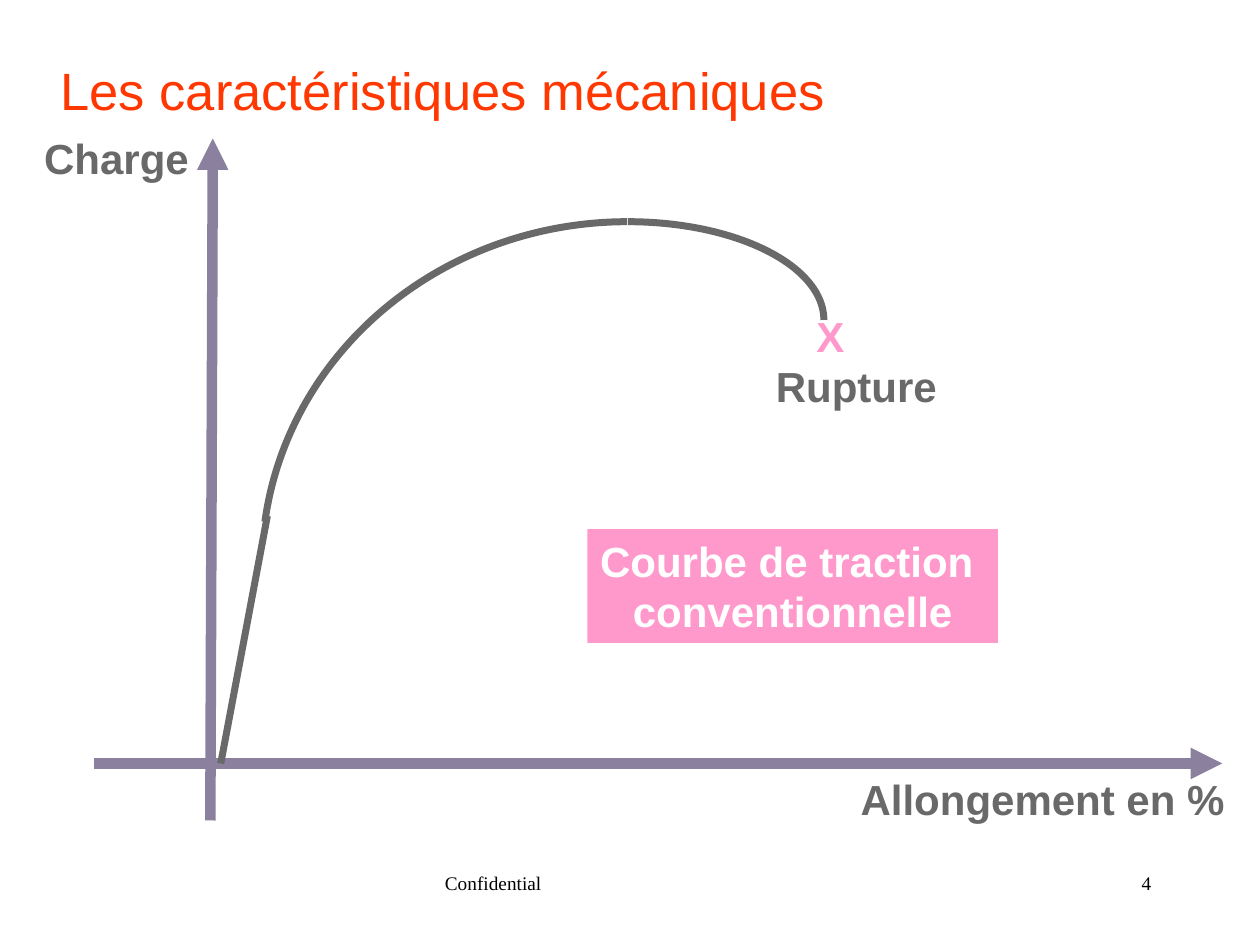
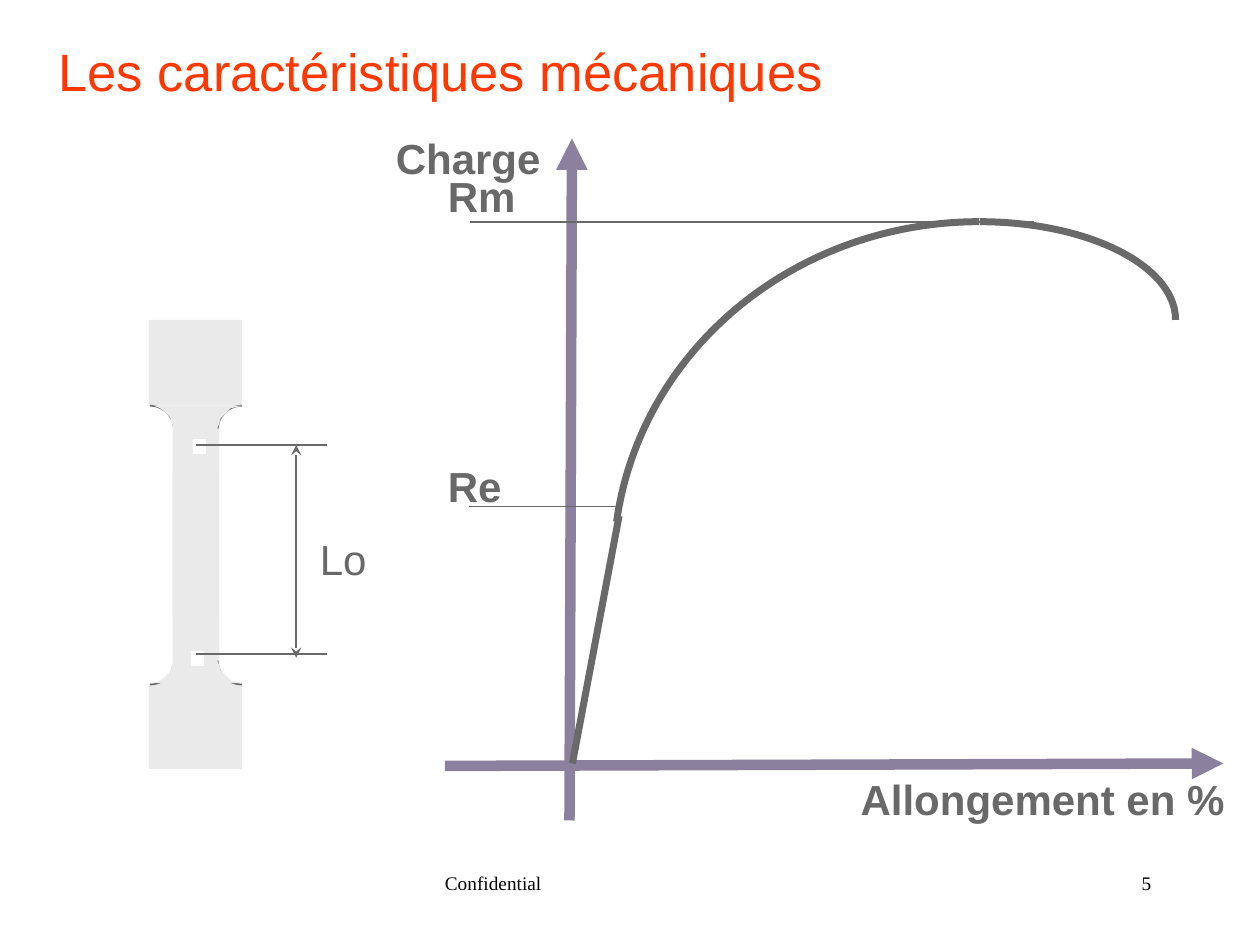
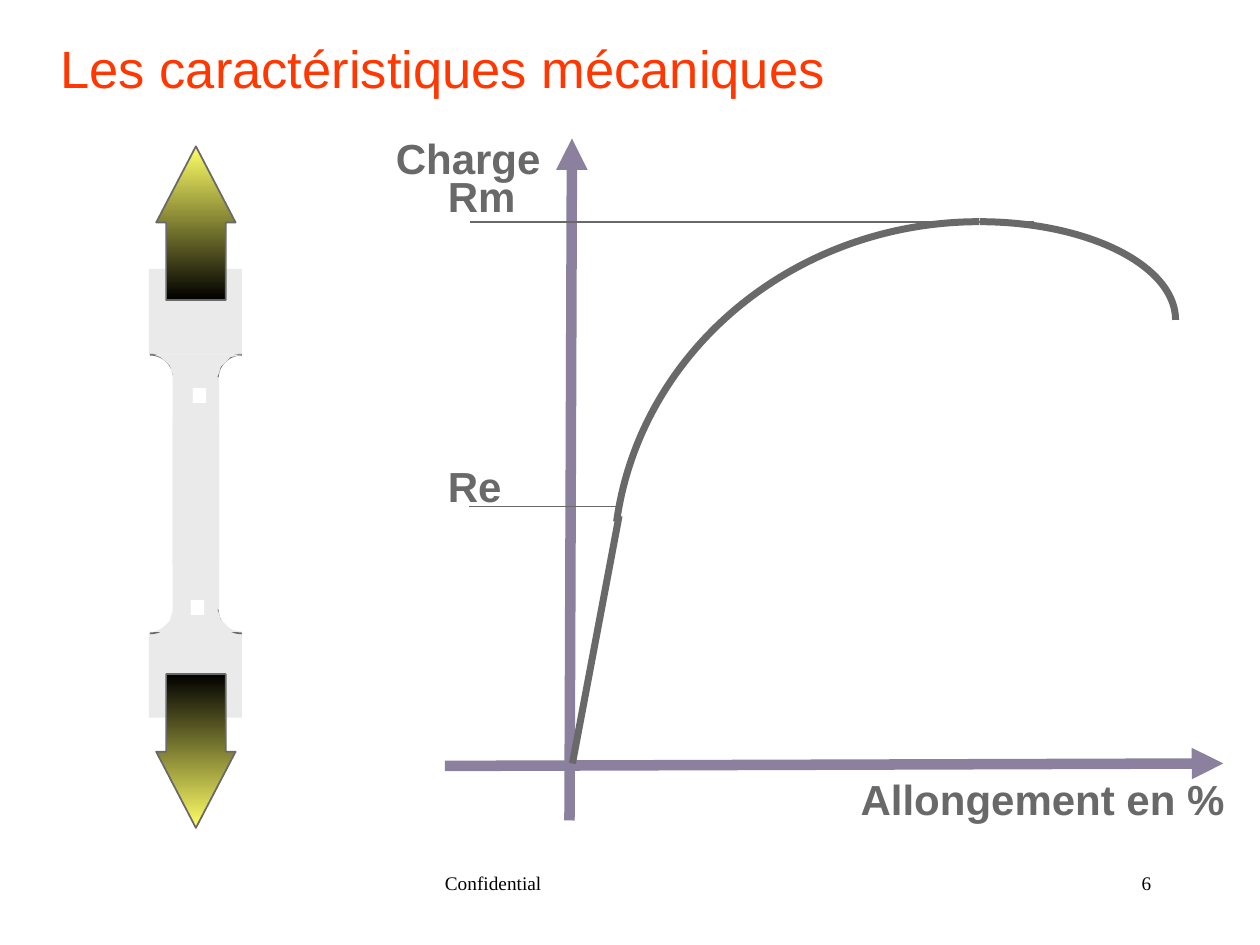
"""Build three slides on the tensile curve and the mechanical properties it shows."""
from pptx import Presentation
from pptx.dml.color import RGBColor
from pptx.enum.shapes import MSO_CONNECTOR, MSO_SHAPE as Shape
from pptx.enum.text import MSO_ANCHOR as Anchor, PP_ALIGN as Align
from pptx.oxml.ns import qn
from pptx.util import Cm, Pt
from lxml.etree import SubElement

ORANGE = RGBColor(0xFF, 0x37, 0x00)
GREY = RGBColor(0x69, 0x69, 0x69)
MAUVE = RGBColor(0x8B, 0x81, 0x9E)
PINK = RGBColor(0xFF, 0x99, 0xCC)
STEEL = RGBColor(0xEA, 0xEA, 0xEA)
YELLOW = RGBColor(0xFF, 0xFF, 0x66)
BLACK = RGBColor(0x00, 0x00, 0x00)
WHITE = RGBColor(0xFF, 0xFF, 0xFF)

TITLE = {"name": "Arial", "size": Pt(30), "bold": False}
LABEL = {"name": "Arial", "size": Pt(24), "bold": True}
LENGTH = {"name": "Arial", "size": Pt(24), "bold": False}
MARK = {"name": "Arial", "size": Pt(80), "bold": False}
FOOTER = {"name": "Times New Roman", "size": Pt(11), "bold": False}

FLUSH = {"margin_left": 0, "margin_right": 0, "margin_top": 0, "margin_bottom": 0, "word_wrap": True}
SNUG = {"word_wrap": False}

CURVE_SHIFT = 7.09
PULL_SHIFT = -1.03
DEGREE = 0.6
FILLET = [(4.88, 0), (4.75, 0.03), (4.65, 0.05), (4.57, 0.13), (4.5, 0.2), (4.45, 0.25),
          (4.42, 0.36), (4.39, 0.43), (4.39, 0.48), (3.48, 0.48), (3.48, 0.38), (3.45, 0.33),
          (3.43, 0.23), (3.38, 0.18), (3.33, 0.13), (3.23, 0.05), (3.18, 0.03), (3.1, 0)]


def add_text(slide, text, box, style, color=GREY, layout=SNUG, align=Align.LEFT, anchor=Anchor.TOP, fill=None):
    area = slide.shapes.add_textbox(*map(Cm, box))
    if fill is not None:
        area.fill.solid()
        area.fill.fore_color.rgb = fill
    frame = area.text_frame
    for name, value in layout.items():
        setattr(frame, name, value)
    frame.vertical_anchor = anchor
    frame.text = text
    for paragraph in frame.paragraphs:
        paragraph.alignment = align
        for run in paragraph.runs:
            run.font.color.rgb = color
            for name, value in style.items():
                setattr(run.font, name, value)


def add_line(slide, ends, color=GREY, width=1, head=None, tail=None):
    line = slide.shapes.add_connector(MSO_CONNECTOR.STRAIGHT, *map(Cm, ends))
    line.line.color.rgb = color
    line.line.width = Pt(width)
    for tag, arrow in (("a:headEnd", head), ("a:tailEnd", tail)):
        if arrow:
            SubElement(line.line._get_or_add_ln(), qn(tag), type=arrow)
    SubElement(line._element.spPr, qn("a:effectLst"))


deck = Presentation()
deck.slide_width, deck.slide_height = Cm(25.4), Cm(19.05)

for number, title_x, title_y in ((4, 1.22, 0.23), (5, 1.18, -0.15), (6, 1.22, -0.22)):
    slide = deck.slides.add_slide(deck.slide_layouts[6])
    has_rupture = number == 4
    has_gauge = number == 5
    has_pull = number == 6
    shift = 0 if has_rupture else CURVE_SHIFT
    pull = PULL_SHIFT if has_pull else 0

    if has_rupture:
        add_text(slide, "Courbe de traction \nconventionnelle", (11.84, 10.67, 8.28, 2.29), LABEL, WHITE,
                 align=Align.CENTER, fill=PINK)
        load_axis, strain_axis = (4.29, 2.79, 4.24, 16.54), (1.9, 15.39, 24.64, 15.39)
    else:
        load_axis, strain_axis = (11.53, 2.79, 11.48, 16.54), (8.97, 15.44, 24.66, 15.39)
    add_line(slide, load_axis, MAUVE, 6, head="triangle")
    add_line(slide, strain_axis, MAUVE, 6, tail="triangle")
    add_line(slide, (4.45 + shift, 15.39, 5.39 + shift, 10.4), GREY, 4)

    parts = [(Shape.ARC, (5.28 + shift, 4.47, 14.73, 13.89), (187 * DEGREE, 270 * DEGREE), [], 4),
             (Shape.ARC, (8.71 + shift, 4.47, 7.9, 3.96), (270 * DEGREE, 0), [], 4)]
    if not has_rupture:
        for head_y, arc_y, shaft_y, angles in ((6.45, 8.18, 8.64, ((270, 0), (180, 270))),
                                               (13.77, 12.83, 9.53, ((0, 90), (90, 180)))):
            parts.append((Shape.RECTANGLE, (3, head_y + pull, 1.88, 1.73), (), [STEEL], 0))
            for arc_x, (start, end) in zip((2.54, 4.39), angles):
                parts.append((Shape.ARC, (arc_x, arc_y + pull, 0.97, 0.97),
                              (start * DEGREE, end * DEGREE), [], 1))
            parts.append((Shape.RECTANGLE, (3.48, shaft_y + pull, 0.94, 3.78), (), [STEEL], 0))
    if has_pull:
        parts += [(Shape.UP_ARROW, (3.15, 2.95, 1.6, 3.1), (0.75, 0.96), [YELLOW, BLACK], 1),
                  (Shape.DOWN_ARROW, (3.15, 13.59, 1.6, 3.1), (0.75, 0.96), [BLACK, YELLOW], 1)]

    for kind, box, adjustments, colors, outline in parts:
        part = slide.shapes.add_shape(kind, *map(Cm, box))
        part.shadow.inherit = False
        for index, value in enumerate(adjustments):
            part.adjustments[index] = value
        if len(colors) == 2:
            part.fill.gradient()
            part.fill.gradient_angle = 270
            for stop, color, position in zip(part.fill.gradient_stops, colors, (0, 1)):
                stop.color.rgb = color
                stop.position = position
        elif colors:
            part.fill.solid()
            part.fill.fore_color.rgb = colors[0]
        else:
            part.fill.background()
        if outline:
            part.line.color.rgb = GREY
            part.line.width = Pt(outline)
        else:
            part.line.fill.background()

    add_text(slide, "Charge", (0.64 if has_rupture else 7.73, 2.54, 3.43, 1.27), LABEL)
    add_text(slide, "Allongement en %", (17.1, 15.47, 7.85, 1.27), LABEL)

    if has_rupture:
        add_text(slide, "X", (16.21, 6.13, 1.07, 1.27), LABEL, PINK)
        add_text(slide, "Rupture", (15.39, 7.14, 3.76, 1.27), LABEL)
    else:
        add_line(slide, (12.47, 10.21, 9.45, 10.21))
        add_text(slide, "Re", (8.78, 9.16, 1.6, 1.27), LABEL)
        add_line(slide, (20.85, 4.47, 9.47, 4.47))
        add_text(slide, "Rm", (8.78, 3.32, 1.88, 1.27), LABEL)
        for edge, side in ((8.18, 1), (13.77, -1)):
            builder = slide.shapes.build_freeform(Cm(3.02), Cm(edge + pull))
            builder.add_line_segments([(Cm(x), Cm(edge + pull + side * y)) for x, y in FILLET])
            fillet = builder.convert_to_shape()
            fillet.shadow.inherit = False
            fillet.fill.solid()
            fillet.fill.fore_color.rgb = STEEL
            fillet.line.fill.background()
        for mark_x, mark_y in ((3.35, 10.49), (3.38, 6.22)):
            add_text(slide, ".", (mark_x, mark_y + pull, 1.3, 3.63), MARK, WHITE)

    if has_gauge:
        for gauge_y in (8.97, 13.18):
            add_line(slide, (3.96, gauge_y, 6.6, gauge_y))
        add_line(slide, (5.97, 8.97, 5.97, 13.26), head="stealth", tail="stealth")
        add_text(slide, "Lo", (6.2, 10.64, 1.45, 1.27), LENGTH)

    add_text(slide, "Les caractéristiques mécaniques", (title_x, title_y, 22.89, 2.21), TITLE, ORANGE,
             FLUSH, anchor=Anchor.BOTTOM)
    add_text(slide, "Confidential", (8.97, 17.57, 8.05, 0.76), FOOTER, BLACK, FLUSH)
    add_text(slide, str(number), (17.93, 17.57, 5.28, 0.76), FOOTER, BLACK, FLUSH, Align.RIGHT)

deck.save("out.pptx")
